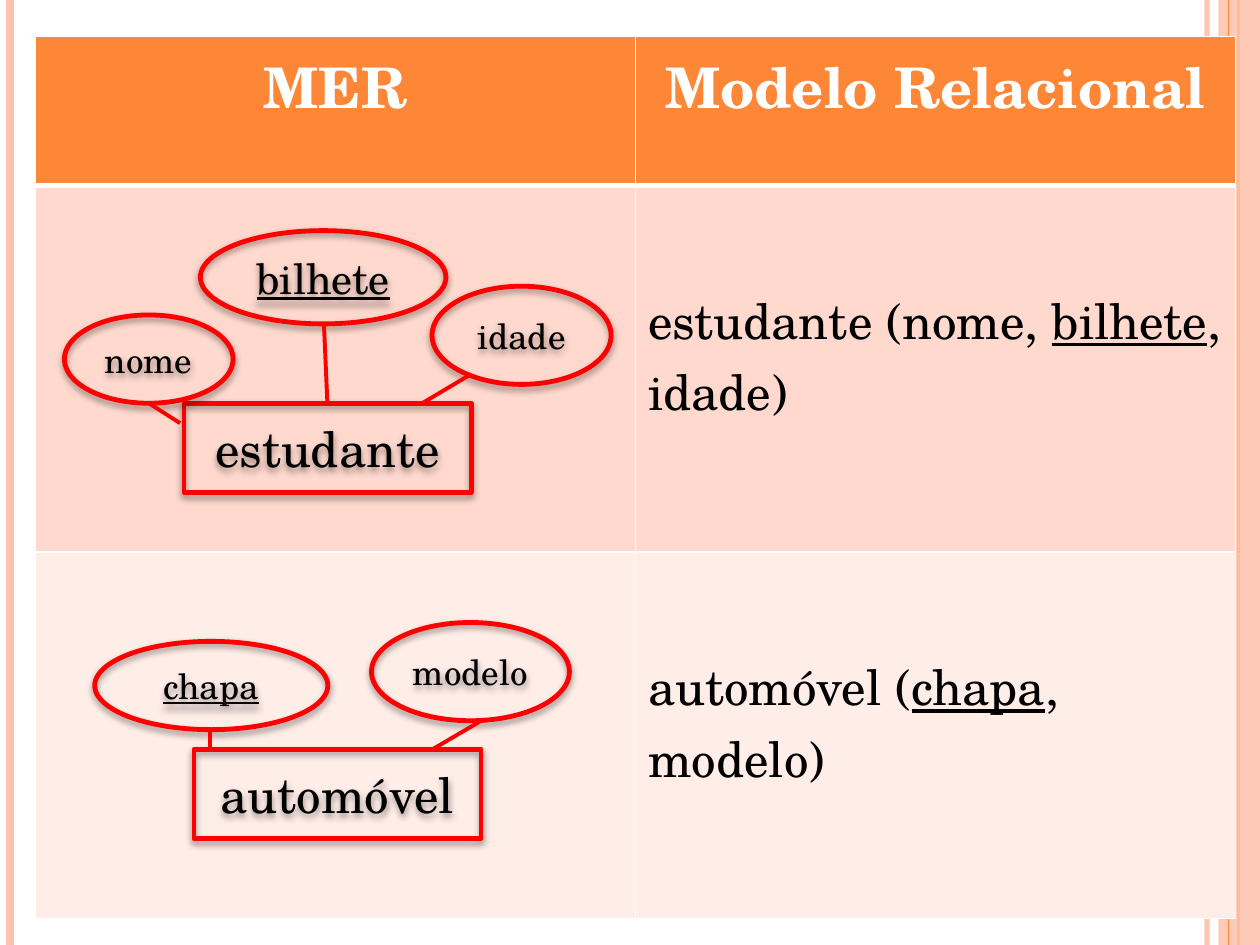
import pptx
import pptx.util
import pptx.oxml
import pptx.oxml.ns
import pptx.dml.color
import pptx.enum.shapes
import pptx.enum.text

Cm, Pt = pptx.util.Cm, pptx.util.Pt
SHAPE = pptx.enum.shapes.MSO_SHAPE
ALIGN = pptx.enum.text.PP_ALIGN
FONT = "TeX Gyre Schola"
COLORS = {
    "orange": "FE8637", "peach": "FEC3AE", "student": "FFD9CE",
    "car": "FFEDE8", "red": "FF0000", "black": "000000", "white": "FFFFFF",
}
TABLE_BOX = (0.71, 0.74, 24.2, 17.78)
HEADER_HEIGHT = 3.0
ROW_HEIGHT = (TABLE_BOX[3] - HEADER_HEIGHT) / 2
HEADINGS = ["MER", "Modelo Relacional"]
ENTITIES = [
    {
        "fill": "student",
        "relation": [("estudante (nome, ", False), ("bilhete", True), (", idade)", False)],
        "entity": ("estudante", (3.0, 4.39, 5.79, 1.8)),
        "attributes": [
            ("nome", (0.59, 2.61, 3.4, 1.78), 20, False, (2.92, 4.79, 2.29, 4.39)),
            ("bilhete", (3.33, 0.91, 4.95, 1.88), 24, True, (5.89, 4.39, 5.82, 2.79)),
            ("idade", (8.0, 2.03, 3.61, 1.98), 20, False, (7.8, 4.39, 8.79, 3.8)),
        ],
    },
    {
        "fill": "car",
        "relation": [("automóvel (", False), ("chapa", True), (", modelo)", False)],
        "entity": ("automóvel", (3.2, 3.98, 5.79, 1.8)),
        "attributes": [
            ("chapa", (1.2, 1.8, 4.7, 1.78), 20, True, (3.53, 3.98, 3.53, 3.58)),
            ("modelo", (6.78, 1.42, 3.99, 1.98), 20, False, (8.0, 3.98, 8.99, 3.4)),
        ],
    },
]


def rgb(name):
    """Return the named colour."""
    return pptx.dml.color.RGBColor.from_string(COLORS[name])


def add_xml(parent, xml):
    """Append an element of the drawing namespace to the parent."""
    namespace = pptx.oxml.ns.nsdecls("a")
    parent.append(pptx.oxml.parse_xml(xml.replace(">", f" {namespace}>", 1)))


def set_opacity(part, percent):
    """Make the colour of a shape or line partly transparent."""
    color = next(part._element.spPr.iter(pptx.oxml.ns.qn("a:srgbClr")))
    add_xml(color, f'<a:alpha val="{percent * 1000}"></a:alpha>')


def add_run(paragraph, text, **font_format):
    """Add a run with the given font values."""
    run = paragraph.add_run()
    run.text = text
    color = font_format.pop("color")
    for name, value in {"name": FONT, **font_format}.items():
        setattr(run.font, name, value)
    run.font.color.rgb = rgb(color)


def add_line(slide, ends, color, width):
    """Draw a straight line between two points in centimetres."""
    line = slide.shapes.add_connector(
        pptx.enum.shapes.MSO_CONNECTOR.STRAIGHT, *map(Cm, ends))
    line.line.color.rgb = rgb(color)
    line.line.width = Pt(width)
    add_xml(line._element.spPr, "<a:effectLst></a:effectLst>")
    return line


def add_side_stripes(slide, box):
    """Draw the vertical stripes along both edges of the box."""
    left, top, width, height = box
    right, bottom = left + width, top + height
    inner = add_line(slide, (right - 1.07, top, right - 1.07, bottom), "peach", 3)
    set_opacity(inner, 93)
    for x, color, weight in [(left + 0.2, "peach", 4.5), (right - 0.43, "orange", 1.5)]:
        add_line(slide, (x, top, x, bottom), color, weight)
    band = slide.shapes.add_shape(
        SHAPE.RECTANGLE, *map(Cm, (right - 0.84, top, 0.84, height)))
    band.shadow.inherit = False
    band.fill.solid()
    band.fill.fore_color.rgb = rgb("peach")
    band.line.fill.background()
    set_opacity(band, 87)
    add_line(slide, (right - 0.64, top, right - 0.64, bottom), "orange", 0.75)


def format_cell(cell, fill, top=1, bottom=1):
    """Give a cell its fill and white borders."""
    properties = cell._tc.get_or_add_tcPr()
    for side, width in {"L": 1, "R": 1, "T": top, "B": bottom}.items():
        add_xml(properties, f'<a:ln{side} w="{Pt(width)}"><a:solidFill>'
                f'<a:srgbClr val="{COLORS["white"]}"/></a:solidFill></a:ln{side}>')
    cell.fill.solid()
    cell.fill.fore_color.rgb = rgb(fill)


def add_comparison_table(slide, box):
    """Place the table with its headings and relations in the box."""
    table = slide.shapes.add_table(3, 2, *map(Cm, box)).table
    for column in table.columns:
        column.width = Cm(box[2] / 2)
    for row, height in zip(table.rows, [HEADER_HEIGHT, ROW_HEIGHT, ROW_HEIGHT]):
        row.height = Cm(height)
    for column, heading in enumerate(HEADINGS):
        cell = table.cell(0, column)
        format_cell(cell, "orange", bottom=3)
        paragraph = cell.text_frame.paragraphs[0]
        paragraph.alignment = ALIGN.CENTER
        add_run(paragraph, heading, size=Pt(32), bold=True, color="white")
    for row, content in enumerate(ENTITIES, 1):
        for column in range(2):
            format_cell(table.cell(row, column), content["fill"], top=3 if row == 1 else 1)
        relation = table.cell(row, 1)
        relation.margin_top = Cm(1.98)
        for text, key in content["relation"]:
            add_run(relation.text_frame.paragraphs[0], text,
                    size=Pt(28), bold=False, underline=key, color="black")


def add_node(slide, kind, box, text, size, key=False):
    """Draw a red outlined node with its label and a soft shadow."""
    node = slide.shapes.add_shape(kind, *map(Cm, box))
    node.fill.background()
    node.line.color.rgb = rgb("red")
    node.line.width = Pt(2.75)
    add_xml(node._element.spPr,
            f'<a:effectLst><a:outerShdw blurRad="{Pt(4)}" dist="{Pt(2)}" dir="5400000" '
            f'rotWithShape="0"><a:srgbClr val="{COLORS["black"]}"><a:alpha val="40000"/>'
            '</a:srgbClr></a:outerShdw></a:effectLst>')
    frame = node.text_frame
    frame.vertical_anchor = pptx.enum.text.MSO_ANCHOR.MIDDLE
    frame.paragraphs[0].alignment = ALIGN.CENTER
    add_run(frame.paragraphs[0], text, size=Pt(size), underline=key, color="black")


def add_entity_diagram(slide, box, content):
    """Draw an entity and its linked attributes relative to the box."""
    left, top = box[:2]
    name, (x, y, width, height) = content["entity"]
    add_node(slide, SHAPE.RECTANGLE, (left + x, top + y, width, height), name, 28)
    for label, (x, y, width, height), size, key, link in content["attributes"]:
        add_node(slide, SHAPE.OVAL, (left + x, top + y, width, height), label, size, key)
        x1, y1, x2, y2 = link
        add_line(slide, (left + x1, top + y1, left + x2, top + y2), "red", 2.25)


def main():
    """Build and save the slide."""
    deck = pptx.Presentation()
    deck.slide_width, deck.slide_height = Cm(25.4), Cm(19.05)
    slide = deck.slides.add_slide(deck.slide_layouts[6])
    add_side_stripes(slide, (0, 0, 25.4, 19.05))
    add_comparison_table(slide, TABLE_BOX)
    left, top, width, _ = TABLE_BOX
    for index, content in enumerate(ENTITIES):
        row_top = top + HEADER_HEIGHT + index * ROW_HEIGHT
        add_entity_diagram(slide, (left, row_top, width / 2, ROW_HEIGHT), content)
    deck.save("out.pptx")


if __name__ == "__main__":
    main()
